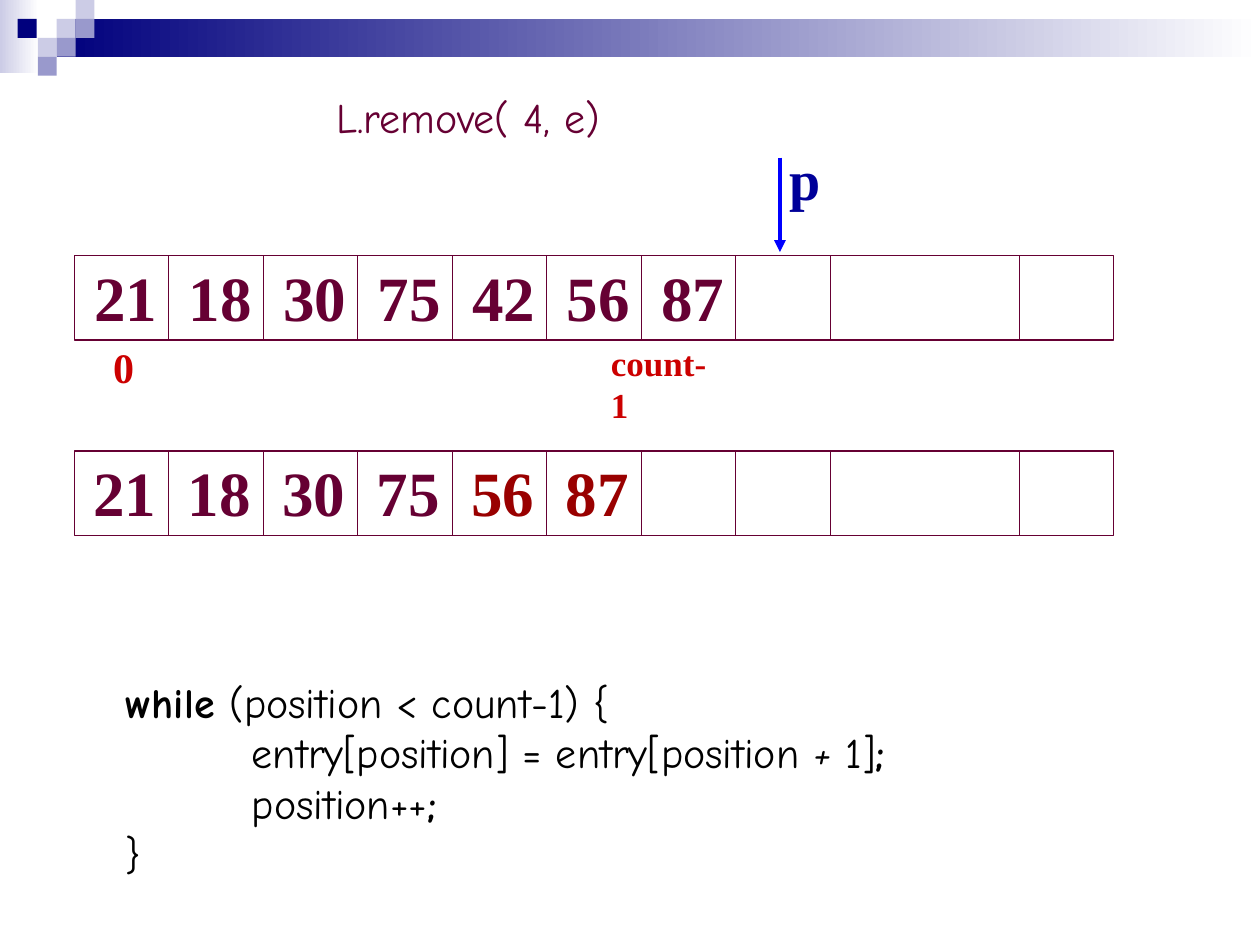
from lxml import etree
from pptx import Presentation
from pptx.dml.color import RGBColor
from pptx.enum.shapes import MSO_CONNECTOR, MSO_SHAPE
from pptx.oxml.ns import qn
from pptx.util import Inches, Pt

RECT = MSO_SHAPE.RECTANGLE
STRAIGHT = MSO_CONNECTOR.STRAIGHT

WHITE = RGBColor(0xFF, 0xFF, 0xFF)
BLACK = RGBColor(0x00, 0x00, 0x00)
NAVY = RGBColor(0x00, 0x00, 0x7D)
LILAC = RGBColor(0xCC, 0xCC, 0xE6)
VIOLET = RGBColor(0x99, 0x99, 0xCC)
PLUM = RGBColor(0x66, 0x00, 0x33)
RED = RGBColor(0xCC, 0x00, 0x00)
DARK_RED = RGBColor(0x99, 0x00, 0x00)
BLUE = RGBColor(0x00, 0x00, 0xFF)
DARK_BLUE = RGBColor(0x00, 0x00, 0x99)

SERIF = "Times New Roman"
COMIC = "Comic Neue"


class SlideBuilder:
    CELL_W, CELL_H = 0.75, 0.67
    ARRAY_X, ARRAY_W = 0.59, 8.25
    DIVIDERS = (1, 2, 3, 4, 5, 6, 7, 8, 10)

    def __init__(self, slide):
        self.slide = slide

    def rect(self, x, y, w, h, fill=None, fade_to=None, line=None):
        sp = self.slide.shapes.add_shape(
            RECT, Inches(x), Inches(y), Inches(w), Inches(h))
        sp.shadow.inherit = False
        if fade_to is not None:
            sp.fill.gradient()
            sp.fill.gradient_angle = 0
            for stop, color in zip(sp.fill.gradient_stops, (fill, fade_to)):
                stop.color.rgb = color
        elif fill is not None:
            sp.fill.solid()
            sp.fill.fore_color.rgb = fill
        else:
            sp.fill.background()
        if line is not None:
            sp.line.color.rgb = line
            sp.line.width = Pt(0.75)
        else:
            sp.line.fill.background()

    def line(self, x1, y1, x2, y2, color, width=0.75, arrow=False):
        cn = self.slide.shapes.add_connector(
            STRAIGHT, Inches(x1), Inches(y1), Inches(x2), Inches(y2))
        cn.line.color.rgb = color
        cn.line.width = Pt(width)
        if arrow:
            etree.SubElement(cn.line._get_or_add_ln(), qn("a:tailEnd"),
                             type="triangle")
        etree.SubElement(cn._element.spPr, qn("a:effectLst"))

    def text(self, x, y, w, h, paragraphs, size, color, font=SERIF,
             bold=True, wrap=False, tab=None):
        """Each paragraph is a string or a list of (text, bold, italic)."""
        box = self.slide.shapes.add_textbox(
            Inches(x), Inches(y), Inches(w), Inches(h))
        tf = box.text_frame
        tf.word_wrap = wrap
        for i, content in enumerate(paragraphs):
            p = tf.add_paragraph() if i else tf.paragraphs[0]
            if tab is not None:
                tabs = etree.SubElement(p._p.get_or_add_pPr(), qn("a:tabLst"))
                etree.SubElement(tabs, qn("a:tab"), pos=str(Inches(tab)),
                                 algn="l")
            p.font.name = font
            p.font.size = Pt(size)
            p.font.color.rgb = color
            if isinstance(content, str):
                p.font.bold = bold
                p.add_run().text = content
                continue
            for words, is_bold, is_italic in content:
                r = p.add_run()
                r.text = words
                r.font.bold = is_bold
                r.font.italic = is_italic

    def array(self, y, text_x, values):
        """Draw one array row; values are (number, colour) pairs."""
        self.rect(self.ARRAY_X, y, self.ARRAY_W, self.CELL_H, line=PLUM)
        for i in self.DIVIDERS:
            x = self.ARRAY_X + i * self.CELL_W
            self.line(x, y, x, y + self.CELL_H, PLUM)
        for i, (number, color) in enumerate(values):
            self.text(text_x + i * self.CELL_W, y - 0.03, 0.7, 0.7,
                      [str(number)], 36, color)


def main():
    prs = Presentation()
    prs.slide_width, prs.slide_height = Inches(10), Inches(7.5)
    s = SlideBuilder(prs.slides.add_slide(prs.slide_layouts[6]))

    # Header band and squares
    s.rect(0, 0, 0.31, 0.58, LILAC, fade_to=WHITE)
    s.rect(0.45, 0.15, 9.55, 0.3, NAVY, fade_to=WHITE)
    for x, y, color in ((0.45, 0.15, LILAC), (0.6, 0, LILAC),
                        (0.6, 0.15, VIOLET), (0.3, 0.3, LILAC),
                        (0.14, 0.15, NAVY), (0.45, 0.3, VIOLET),
                        (0.3, 0.45, VIOLET)):
        s.rect(x, y, 0.15, 0.15, color)

    # Call
    s.text(2.57, 0.68, 2.42, 0.5, ["L.remove( 4, e)"], 24, PLUM, COMIC,
           bold=False)

    # Array before and after the removal
    s.array(2.03, 0.65, [(n, PLUM) for n in (21, 18, 30, 75, 42, 56, 87)])
    s.array(3.58, 0.64, [(n, PLUM) for n in (21, 18, 30, 75)]
            + [(n, DARK_RED) for n in (56, 87)])

    # Index labels
    s.text(0.8, 2.66, 0.36, 0.5, ["0"], 24, RED)
    s.text(4.75, 2.66, 1.09, 0.44, ["count-1"], 20, RED)

    # Position pointer
    s.line(6.19, 1.25, 6.19, 2, BLUE, 2.25, arrow=True)
    s.text(6.17, 1.1, 0.45, 0.64, ["p"], 32, DARK_BLUE)

    # Code
    s.text(0.9, 5.32, 7.32, 1.7, [
        [("while ", True, False), ("(position < count-1) {", False, False)],
        [("\tentry[position] = entry[position ", False, False),
         ("+ ", False, True), ("1]", False, False), (";", True, False)],
        [("\tposition++", False, False), (";", True, False)],
        [("}", False, False)],
    ], 24, BLACK, COMIC, wrap=True, tab=1)

    prs.save("out.pptx")


if __name__ == "__main__":
    main()
